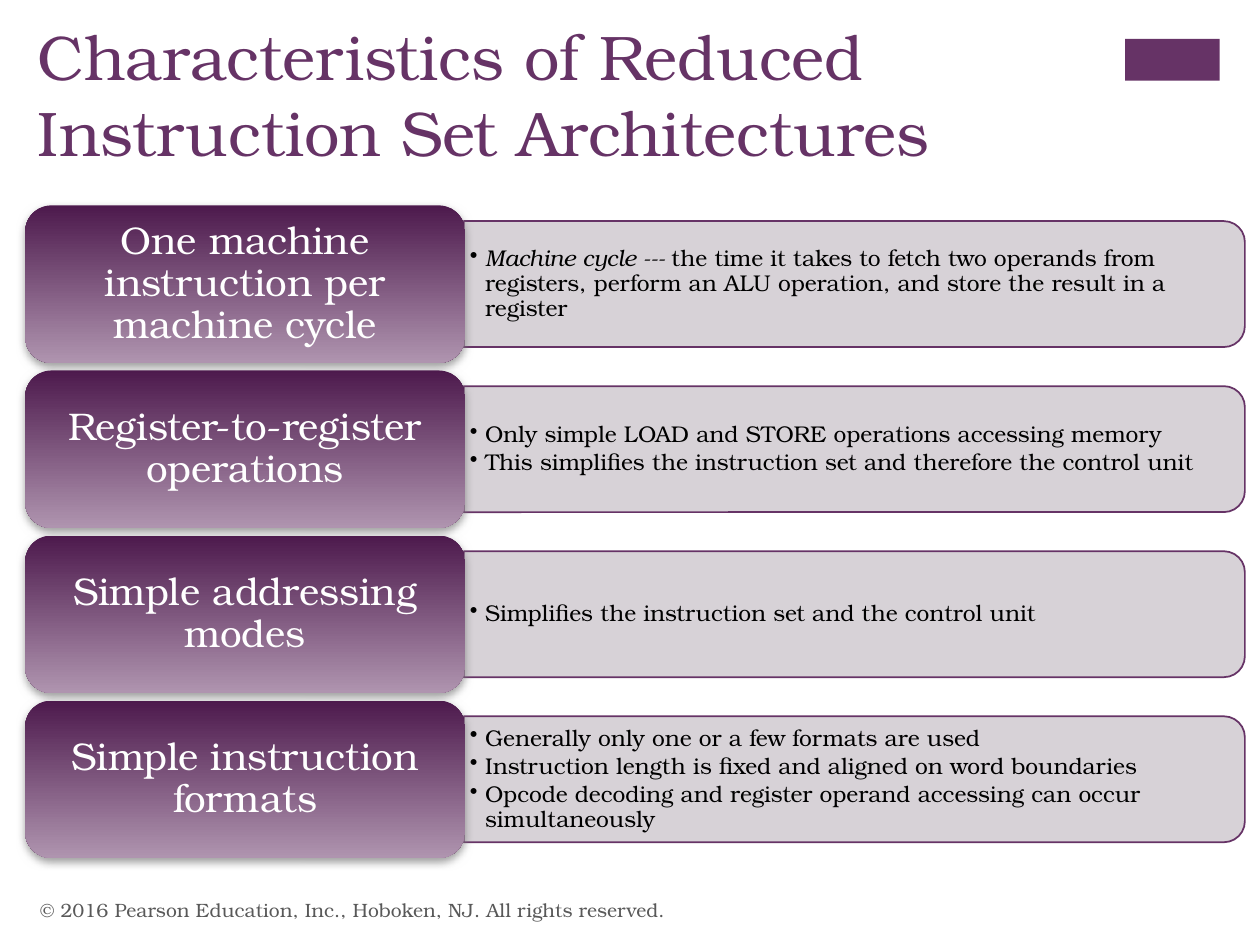
"""Build a slide on the characteristics of reduced instruction set architectures."""
from lxml import etree
from pptx import Presentation
from pptx import util as u
from pptx.dml.color import RGBColor
from pptx.enum import shapes, text
from pptx.oxml.ns import qn

FONT = "TeX Gyre Bonum"
PLUM = RGBColor(0x66, 0x33, 0x66)
DARK_PLUM = RGBColor(0x4D, 0x1A, 0x4D)
LILAC = RGBColor(0xAF, 0x94, 0xAF)
PALE = RGBColor(0xD3, 0xCE, 0xD3)
WHITE = RGBColor(0xFF, 0xFF, 0xFF)
BLACK = RGBColor(0, 0, 0)
GREY = RGBColor(0x59, 0x59, 0x59)

TOP, PITCH = 1.63, 1.31
LABEL_LEFT, LABEL_WIDTH, LABEL_HEIGHT = 0.2, 3.49, 1.25
PANEL_LEFT, PANEL_WIDTH, PANEL_HEIGHT = 3.68, 6.2, 1.0
DETAIL_WIDTH, DETAIL_HEIGHT = 6.15, 0.9

TITLE = "Characteristics of Reduced Instruction Set Architectures"
COPYRIGHT = "© 2016 Pearson Education, Inc., Hoboken, NJ. All rights reserved."
CHARACTERISTICS = [
    ("One machine instruction per machine cycle", [
        [("Machine cycle --- ", True),
         ("the time it takes to fetch two operands from registers, perform "
          "an ALU operation, and store the result in a register", False)]]),
    ("Register-to-register operations", [
        [("Only simple LOAD and STORE operations accessing memory", False)],
        [("This simplifies the instruction set and therefore the control unit",
          False)]]),
    ("Simple addressing modes", [
        [("Simplifies the instruction set and the control unit", False)]]),
    ("Simple instruction formats", [
        [("Generally only one or a few formats are used", False)],
        [("Instruction length is fixed and aligned on word boundaries", False)],
        [("Opcode decoding and register operand accessing can occur "
          "simultaneously", False)]]),
]


def box(*lengths):
    """Convert left, top, width and height to inches."""
    return [u.Inches(length) for length in lengths]


def apply(target, formats):
    """Set each attribute named in formats on the target."""
    for name, value in formats.items():
        setattr(target, name, value)


def set_frame(frame, side, end):
    """Wrap and centre a text frame vertically with the given margins."""
    apply(frame, {
        "word_wrap": True, "auto_size": text.MSO_AUTO_SIZE.NONE,
        "vertical_anchor": text.MSO_ANCHOR.MIDDLE,
        "margin_left": u.Inches(side), "margin_right": u.Inches(side),
        "margin_top": u.Inches(end), "margin_bottom": u.Inches(end)})


def add_words(paragraph, words, size, color, italic=False):
    """Add one formatted run to a paragraph."""
    run = paragraph.add_run()
    run.text = words
    apply(run.font, {"name": FONT, "size": u.Pt(size), "italic": italic})
    run.font.color.rgb = color


def add_block(slide, kind, place):
    """Add a preset shape with no outline and no shadow."""
    block = slide.shapes.add_shape(kind, *box(*place))
    block.shadow.inherit = False
    block.line.fill.background()
    return block


def add_shadow(block):
    """Give a shape a soft grey shadow that falls downwards."""
    effects = block._element.spPr.find(qn("a:effectLst"))
    shadow = etree.SubElement(
        effects, qn("a:outerShdw"), blurRad=str(u.Pt(5)), dist=str(u.Pt(2)),
        dir="5400000", rotWithShape="0")
    color = etree.SubElement(shadow, qn("a:srgbClr"), val="808080")
    etree.SubElement(color, qn("a:alpha"), val="75000")


def add_title(slide):
    """Place and format the slide title."""
    title = slide.shapes.title
    places = ("left", "top", "width", "height")
    apply(title, dict(zip(places, box(0.2, 0.13, 8.26, 1.22))))
    set_frame(title.text_frame, 0.1, 0.05)
    heading = title.text_frame.paragraphs[0]
    heading.alignment = text.PP_ALIGN.LEFT
    add_words(heading, TITLE, 36, PLUM)


def add_panel(slide, middle):
    """Add a pale panel whose right corners are rounded."""
    left = PANEL_LEFT + (PANEL_WIDTH - PANEL_HEIGHT) / 2
    panel = add_block(slide, shapes.MSO_SHAPE.ROUND_2_SAME_RECTANGLE,
                      (left, middle - PANEL_WIDTH / 2, PANEL_HEIGHT, PANEL_WIDTH))
    panel.rotation = 90
    panel.fill.solid()
    panel.fill.fore_color.rgb = PALE
    tint = panel._element.spPr.find(qn("a:solidFill")).find(qn("a:srgbClr"))
    etree.SubElement(tint, qn("a:alpha"), val="90000")
    panel.line.color.rgb = PLUM
    panel.line.width = u.Pt(1)


def add_details(slide, middle, details):
    """Add the bulleted details that lie on a panel."""
    place = (PANEL_LEFT, middle - DETAIL_HEIGHT / 2, DETAIL_WIDTH, DETAIL_HEIGHT)
    frame = slide.shapes.add_textbox(*box(*place)).text_frame
    set_frame(frame, 0.05, 0.03)
    for index, detail in enumerate(details):
        bullet = frame.add_paragraph() if index else frame.paragraphs[0]
        properties = bullet._p.get_or_add_pPr()
        properties.set("marL", str(u.Inches(0.12)))
        properties.set("indent", str(-u.Inches(0.12)))
        etree.SubElement(properties, qn("a:buChar"), char="•")
        apply(bullet, {"level": 1, "line_spacing": 0.9, "space_after": u.Pt(2)})
        for words, italic in detail:
            add_words(bullet, words, 13, BLACK, italic)


def add_label(slide, middle, words):
    """Add a shaded label that names one characteristic."""
    label = add_block(slide, shapes.MSO_SHAPE.ROUNDED_RECTANGLE,
                      (LABEL_LEFT, middle - LABEL_HEIGHT / 2,
                       LABEL_WIDTH, LABEL_HEIGHT))
    label.fill.gradient()
    label.fill.gradient_angle = 270
    for stop, color in zip(label.fill.gradient_stops, (DARK_PLUM, LILAC)):
        stop.color.rgb = color
    add_shadow(label)
    set_frame(label.text_frame, 0.09, 0.05)
    name = label.text_frame.paragraphs[0]
    apply(name, {"alignment": text.PP_ALIGN.CENTER, "line_spacing": 0.9})
    add_words(name, words, 22, WHITE)


def add_copyright(slide):
    """Add the copyright line at the foot of the slide."""
    footer = slide.shapes.add_textbox(*box(0.22, 7.02, 6.7, 0.4)).text_frame
    set_frame(footer, 0.1, 0.05)
    add_words(footer.paragraphs[0], COPYRIGHT, 11, GREY)


def main():
    """Build the slide and save it."""
    deck = Presentation()
    apply(deck, {"slide_width": u.Inches(10), "slide_height": u.Inches(7.5)})
    slide = deck.slides.add_slide(deck.slide_layouts[5])
    accent = add_block(slide, shapes.MSO_SHAPE.RECTANGLE, (8.93, 0.31, 0.75, 0.33))
    accent.fill.solid()
    accent.fill.fore_color.rgb = PLUM
    add_title(slide)
    for row, (name, details) in enumerate(CHARACTERISTICS):
        middle = TOP + row * PITCH + LABEL_HEIGHT / 2
        add_panel(slide, middle)
        add_details(slide, middle, details)
        add_label(slide, middle, name)
    add_copyright(slide)
    deck.save("out.pptx")


if __name__ == "__main__":
    main()
